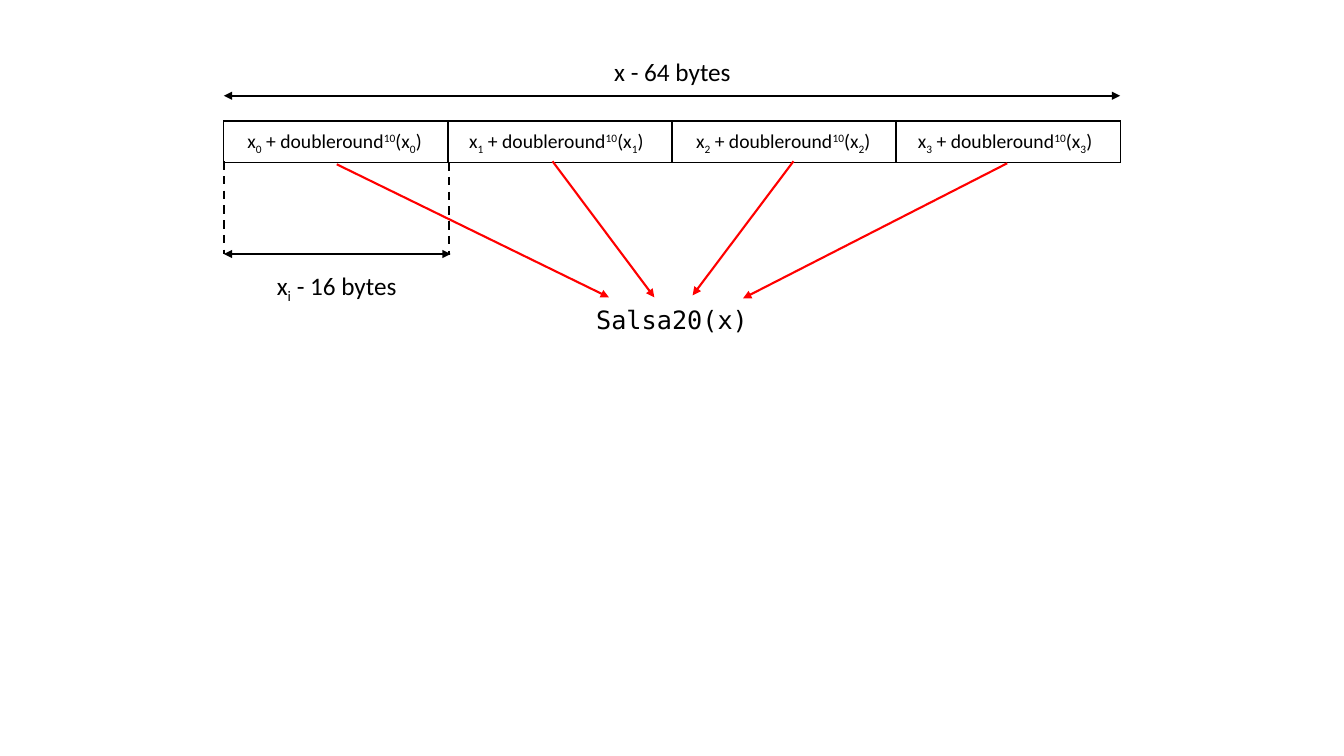
from dataclasses import dataclass
from typing import Optional

from lxml import etree
from pptx import Presentation
from pptx.dml.color import RGBColor
from pptx.enum.dml import MSO_LINE
from pptx.enum.shapes import MSO_CONNECTOR
from pptx.enum.text import MSO_AUTO_SIZE, PP_ALIGN
from pptx.oxml.ns import qn
from pptx.util import Inches, Pt

STRAIGHT = MSO_CONNECTOR.STRAIGHT
DASH = MSO_LINE.DASH
CENTER = PP_ALIGN.CENTER
FIT_SHAPE = MSO_AUTO_SIZE.SHAPE_TO_FIT_TEXT

BLACK = RGBColor(0x00, 0x00, 0x00)
WHITE = RGBColor(0xFF, 0xFF, 0xFF)
RED = RGBColor(0xFF, 0x00, 0x00)

SANS = "Calibri"
MONO = "DejaVu Sans Mono"
SUB, SUPER = -25, 30

BLOCKS = 4
LEFT, TOP, WIDTH, HEIGHT = 2.22, 1.2, 8.89, 0.41
RIGHT = LEFT + WIDTH
FORMULA_LEFTS = (2.13, 4.33, 6.58, 8.78)


@dataclass
class Piece:
    text: str
    baseline: int = 0


@dataclass
class Label:
    left: float
    top: float
    width: float
    height: float
    pieces: list[Piece]
    size: int = 18
    font: str = SANS


@dataclass
class Line:
    start: tuple[float, float]
    end: tuple[float, float]
    color: RGBColor = BLACK
    head: bool = False
    tail: bool = False
    dash: Optional[MSO_LINE] = None


def block_formula(i: int) -> list[Piece]:
    index = Piece(str(i), SUB)
    return [Piece("x"), index, Piece(" + doubleround"), Piece("10", SUPER),
            Piece("(x"), index, Piece(") ")]


LABELS = [
    Label(LEFT, 2.63, 2.24, 0.4, [Piece("x"), Piece("i", SUB), Piece(" - 16 bytes")]),
    Label(5.55, 0.51, 2.24, 0.4, [Piece("x - 64 bytes")]),
    Label(5.67, 2.97, 1.99, 0.4, [Piece("Salsa20(x)")], font=MONO),
] + [
    Label(left, 1.23, 2.42, 0.34, block_formula(i), size=14)
    for i, left in enumerate(FORMULA_LEFTS)
]

LINES = [
    Line((LEFT, 0.95), (RIGHT, 0.95), head=True, tail=True),
    Line((LEFT, 2.52), (4.47, 2.52), head=True, tail=True),
    Line((3.34, 1.63), (6.04, 2.95), RED, tail=True),
    Line((5.48, 1.6), (6.49, 2.95), RED, tail=True),
    Line((7.87, 1.6), (6.87, 2.93), RED, tail=True),
    Line((9.99, 1.62), (7.37, 2.96), RED, tail=True),
    Line((LEFT, 1.6), (LEFT, 2.52), dash=DASH),
    Line((4.45, 1.61), (4.45, 2.53), dash=DASH),
]


def add_block_row(slide) -> None:
    frame = slide.shapes.add_table(1, BLOCKS, Inches(LEFT), Inches(TOP),
                                   Inches(WIDTH), Inches(HEIGHT))
    table = frame.table
    table.first_row = False
    table.horz_banding = False
    for column in table.columns:
        column.width = Inches(WIDTH / BLOCKS)
    for cell in table.iter_cells():
        tcPr = cell._tc.get_or_add_tcPr()
        for side in ("a:lnL", "a:lnR", "a:lnT", "a:lnB"):
            border = etree.SubElement(tcPr, qn(side), w=str(Pt(1)))
            fill = etree.SubElement(border, qn("a:solidFill"))
            etree.SubElement(fill, qn("a:srgbClr"), val=str(BLACK))
        cell.fill.solid()
        cell.fill.fore_color.rgb = WHITE


def add_label(slide, label: Label) -> None:
    sp = slide.shapes.add_textbox(Inches(label.left), Inches(label.top),
                                  Inches(label.width), Inches(label.height))
    tf = sp.text_frame
    tf.word_wrap = True
    tf.auto_size = FIT_SHAPE
    p = tf.paragraphs[0]
    p.alignment = CENTER
    for piece in label.pieces:
        r = p.add_run()
        r.text = piece.text
        r.font.name = label.font
        r.font.size = Pt(label.size)
        r.font.color.rgb = BLACK
        if piece.baseline:
            r._r.get_or_add_rPr().set("baseline", str(piece.baseline * 1000))


def add_line(slide, line: Line) -> None:
    points = [Inches(v) for v in line.start + line.end]
    connector = slide.shapes.add_connector(STRAIGHT, *points)
    connector.line.color.rgb = line.color
    connector.line.width = Pt(1.5)
    if line.dash is not None:
        connector.line.dash_style = line.dash
    ln = connector.line._get_or_add_ln()
    for tag, shown in (("a:headEnd", line.head), ("a:tailEnd", line.tail)):
        if shown:
            etree.SubElement(ln, qn(tag), type="triangle")
    etree.SubElement(connector._element.spPr, qn("a:effectLst"))


def main() -> None:
    prs = Presentation()
    prs.slide_width = Inches(13.33)
    prs.slide_height = Inches(7.5)
    slide = prs.slides.add_slide(prs.slide_layouts[6])
    add_block_row(slide)
    for label in LABELS:
        add_label(slide, label)
    for line in LINES:
        add_line(slide, line)
    prs.save("out.pptx")


if __name__ == "__main__":
    main()
